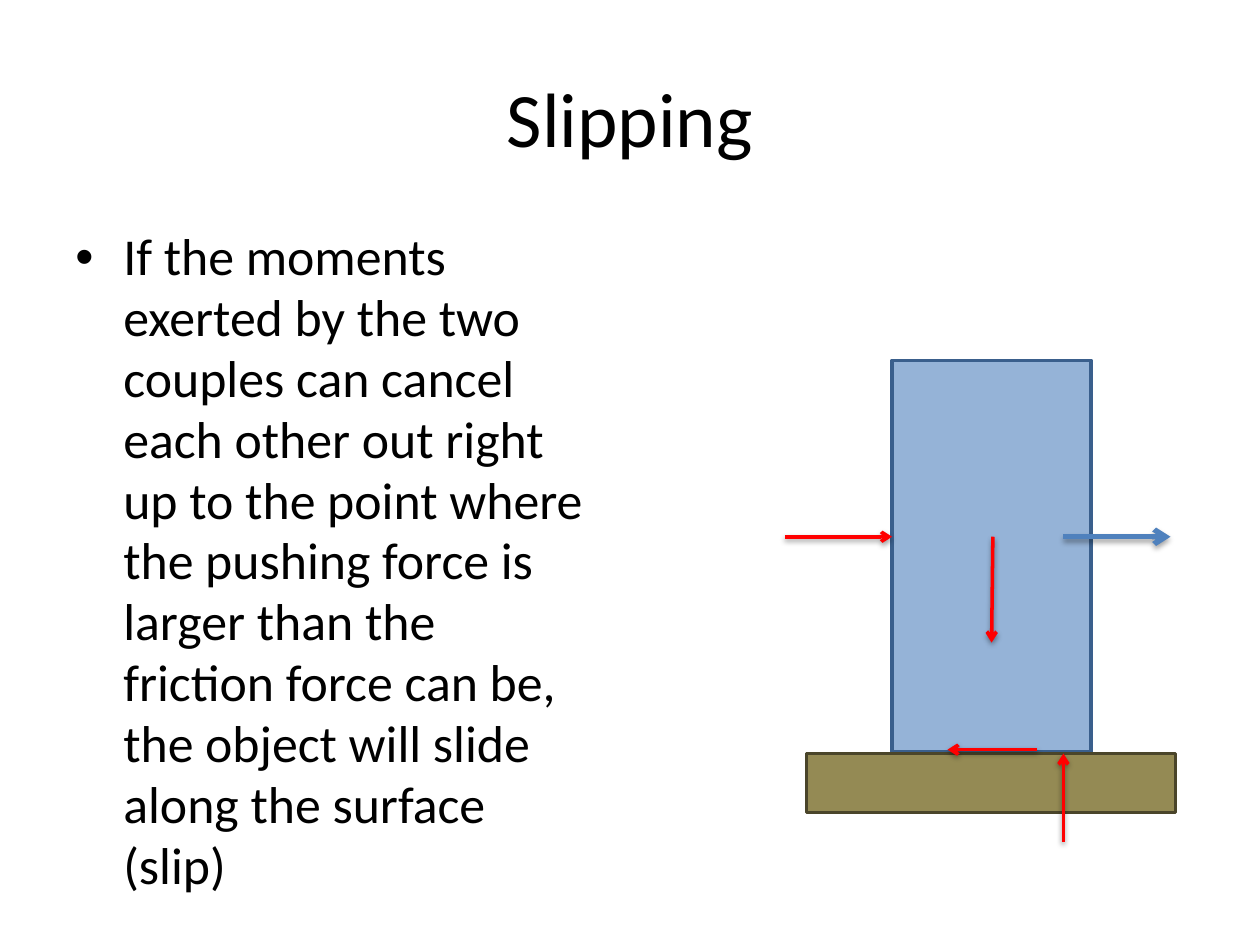
from dataclasses import dataclass

from lxml.etree import SubElement
from pptx import Presentation
from pptx.dml.color import RGBColor
from pptx.enum.shapes import MSO_CONNECTOR, MSO_SHAPE
from pptx.enum.text import MSO_ANCHOR, PP_ALIGN
from pptx.oxml.ns import qn
from pptx.util import Inches, Pt


@dataclass(frozen=True)
class Theme:
    font: str = "Calibri"
    title_size: float = 44
    body_size: float = 29.6
    text: str = "000000"
    force: str = "FF0000"
    motion: str = "4F81BD"
    block: str = "95B3D7"
    block_edge: str = "3A5F8C"
    ground: str = "948A54"
    ground_edge: str = "4A452A"
    edge_width: float = 2


THEME = Theme()

TITLE = "Slipping"
BODY = (
    "If the moments exerted by the two couples can cancel each other out "
    "right up to the point where the pushing force is larger than the "
    "friction force can be, the object will slide along the surface (slip)"
)

# left, top, width, height
TITLE_AREA = (0.5, 0.3, 9, 1.25)
BODY_AREA = (0.5, 1.75, 4.25, 4.95)
BLOCK = (7.08, 2.86, 1.58, 3.11)
GROUND = (6.4, 5.98, 2.93, 0.47)

PUSH_HEIGHT = 4.26
REACTION_X = 8.44
ARROW_LENGTH = 0.85

# start, end
PUSH = ((BLOCK[0] - ARROW_LENGTH, PUSH_HEIGHT), (BLOCK[0], PUSH_HEIGHT))
REACTION = ((REACTION_X, 6.68), (REACTION_X, GROUND[1]))
FRICTION = ((8.23, 5.95), (7.52, 5.95))
WEIGHT = ((7.88, PUSH_HEIGHT), (7.87, 5.1))
MOTION = ((REACTION_X, PUSH_HEIGHT), (REACTION_X + ARROW_LENGTH, PUSH_HEIGHT))


def color(value):
    return RGBColor.from_string(value)


def add_text(page, text, area, size, align=PP_ALIGN.LEFT,
             anchor=MSO_ANCHOR.TOP, bullet=None, indent=0, line_spacing=None):
    frame = page.shapes.add_textbox(*map(Inches, area)).text_frame
    frame.word_wrap = True
    frame.vertical_anchor = anchor
    para = frame.paragraphs[0]
    para.alignment = align
    para.line_spacing = line_spacing
    if bullet:
        properties = para._p.get_or_add_pPr()
        properties.set("marL", str(Inches(indent)))
        properties.set("indent", str(-Inches(indent)))
        SubElement(properties, qn("a:buFont"), typeface="Arial")
        SubElement(properties, qn("a:buChar"), char=bullet)
    span = para.add_run()
    span.text = text
    span.font.name = THEME.font
    span.font.size = Pt(size)
    span.font.color.rgb = color(THEME.text)


def add_rectangle(page, area, fill, edge):
    box = page.shapes.add_shape(MSO_SHAPE.RECTANGLE, *map(Inches, area))
    box.shadow.inherit = False
    box.fill.solid()
    box.fill.fore_color.rgb = color(fill)
    box.line.color.rgb = color(edge)
    box.line.width = Pt(THEME.edge_width)


def add_arrow(page, ends, shade=THEME.force, width=2, shadow_alpha=38,
              shadow_distance=1.6):
    start, end = ends
    arrow = page.shapes.add_connector(
        MSO_CONNECTOR.STRAIGHT, *map(Inches, start + end))
    arrow.line.color.rgb = color(shade)
    arrow.line.width = Pt(width)
    SubElement(arrow.line._get_or_add_ln(), qn("a:tailEnd"), type="arrow")
    effects = SubElement(arrow._element.spPr, qn("a:effectLst"))
    shadow = SubElement(
        effects, qn("a:outerShdw"), blurRad=str(Pt(3.1)),
        dist=str(Pt(shadow_distance)), dir=str(90 * 60000), rotWithShape="0")
    black = SubElement(shadow, qn("a:srgbClr"), val="000000")
    SubElement(black, qn("a:alpha"), val=str(shadow_alpha * 1000))


def main():
    deck = Presentation()
    deck.slide_width, deck.slide_height = Inches(10), Inches(7.5)
    page = deck.slides.add_slide(deck.slide_layouts[6])

    add_text(page, TITLE, TITLE_AREA, THEME.title_size,
             align=PP_ALIGN.CENTER, anchor=MSO_ANCHOR.MIDDLE)
    add_text(page, BODY, BODY_AREA, THEME.body_size, bullet="•",
             indent=0.38, line_spacing=0.98)

    add_rectangle(page, BLOCK, THEME.block, THEME.block_edge)
    add_arrow(page, PUSH)
    add_rectangle(page, GROUND, THEME.ground, THEME.ground_edge)
    for force in (REACTION, FRICTION, WEIGHT):
        add_arrow(page, force)
    add_arrow(page, MOTION, shade=THEME.motion, width=3, shadow_alpha=35,
              shadow_distance=1.8)

    deck.save("out.pptx")


if __name__ == "__main__":
    main()
